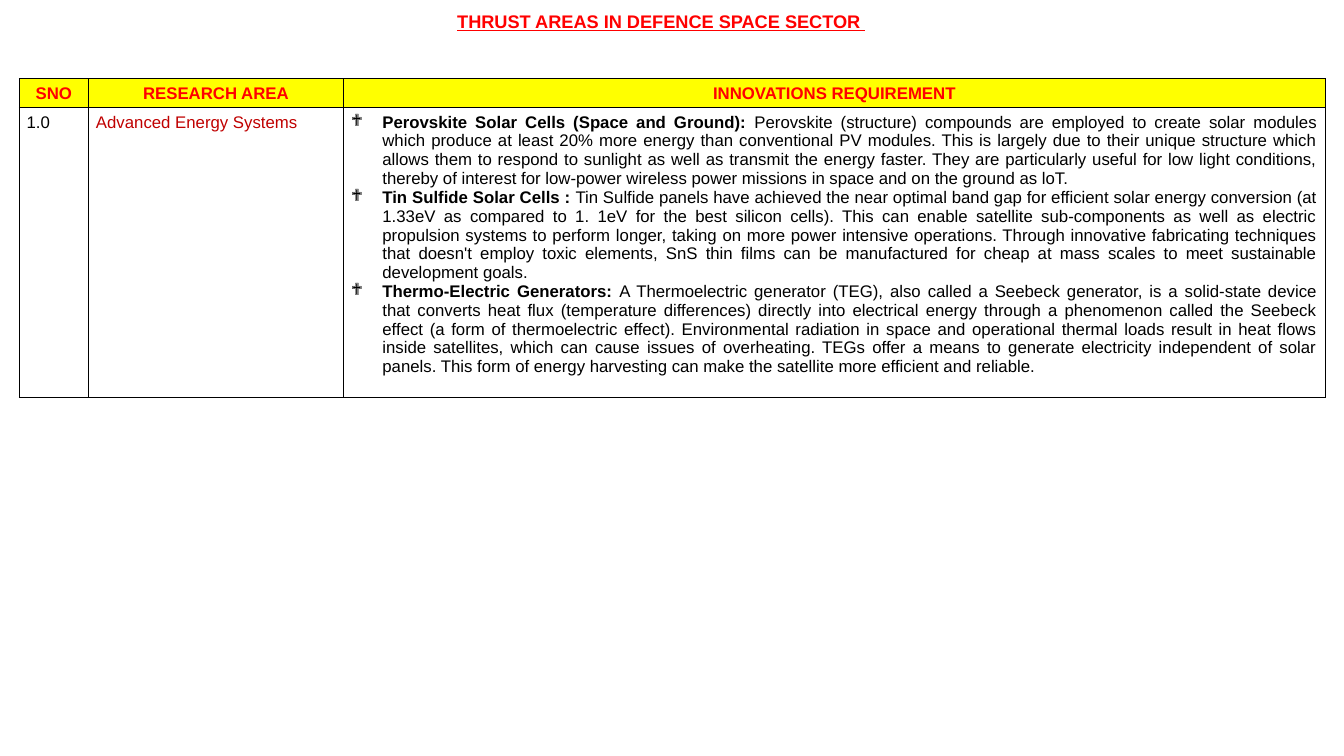
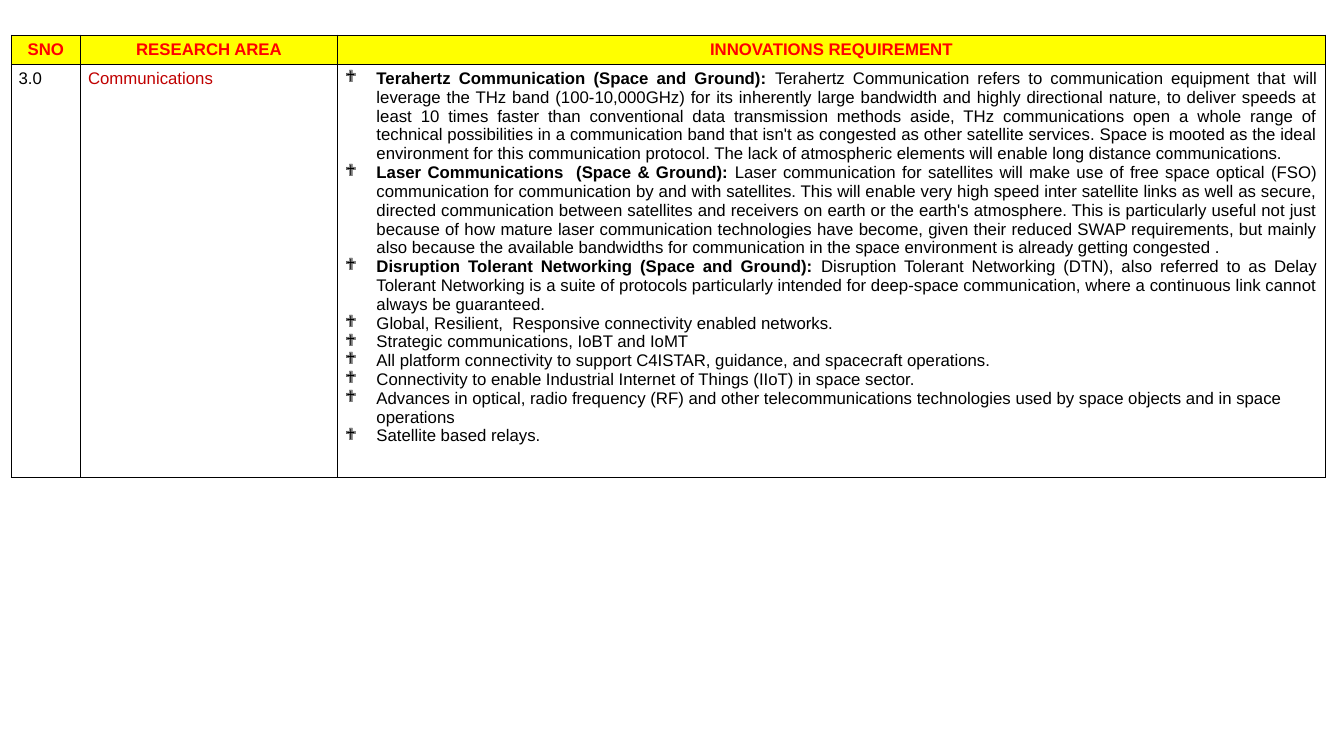
from lxml import etree
from pptx import Presentation
from pptx.dml.color import RGBColor
from pptx.enum.text import MSO_ANCHOR, MSO_AUTO_SIZE, PP_ALIGN as ALIGN
from pptx.oxml.ns import qn
from pptx.util import Cm, Pt

FONT = "Arial"
RED, DARK_RED, YELLOW, BLACK = "FF0000", "C00000", "FFFF00", "000000"
TITLE_ONLY, BLANK = 5, 6
HEADERS = ["SNO", "RESEARCH AREA", "INNOVATIONS REQUIREMENT"]
HEADER_HEIGHT = 0.73

ENERGY = [
    ("Perovskite Solar Cells (Space and Ground): ",
     "Perovskite (structure) compounds are employed to create solar modules which produce "
     "at least 20% more energy than conventional PV modules. This is largely due to their "
     "unique structure which allows them to respond to sunlight as well as transmit the "
     "energy faster. They are particularly useful for low light conditions, thereby of "
     "interest for low-power wireless power missions in space and on the ground as loT."),
    ("Tin Sulfide Solar Cells : ",
     "Tin Sulfide panels have achieved the near optimal band gap for efficient solar energy "
     "conversion (at 1.33eV as compared to 1. 1eV for the best silicon cells). This can "
     "enable satellite sub-components as well as electric propulsion systems to perform "
     "longer, taking on more power intensive operations. Through innovative fabricating "
     "techniques that doesn't employ toxic elements, SnS thin films can be manufactured for "
     "cheap at mass scales to meet sustainable development goals."),
    ("Thermo-Electric Generators: ",
     "A Thermoelectric generator (TEG), also called a Seebeck generator, is a solid-state "
     "device that converts heat flux (temperature differences) directly into electrical "
     "energy through a phenomenon called the Seebeck effect (a form of thermoelectric "
     "effect). Environmental radiation in space and operational thermal loads result in heat "
     "flows inside satellites, which can cause issues of overheating. TEGs offer a means to "
     "generate electricity independent of solar panels. This form of energy harvesting can "
     "make the satellite more efficient and reliable."),
]

COMMUNICATIONS = [
    ("Terahertz Communication (Space and Ground): ",
     "Terahertz Communication refers to communication equipment that will leverage the THz "
     "band (100-10,000GHz) for its inherently large bandwidth and highly directional nature, "
     "to deliver speeds at least 10 times faster than conventional data transmission methods "
     "aside, THz communications open a whole range of technical possibilities in a "
     "communication band that isn't as congested as other satellite services. Space is "
     "mooted as the ideal environment for this communication protocol. The lack of "
     "atmospheric elements will enable long distance communications."),
    ("Laser Communications  (Space & Ground): ",
     "Laser communication for satellites will make use of free space optical (FSO) "
     "communication for communication by and with satellites. This will enable very high "
     "speed inter satellite links as well as secure, directed communication between "
     "satellites and receivers on earth or the earth's atmosphere. This is particularly "
     "useful not just because of how mature laser communication technologies have become, "
     "given their reduced SWAP requirements, but mainly also because the available "
     "bandwidths for communication in the space environment is already getting congested ."),
    ("Disruption Tolerant Networking (Space and Ground): ",
     "Disruption Tolerant Networking (DTN), also referred to as Delay Tolerant Networking is "
     "a suite of protocols particularly intended for deep-space communication, where a "
     "continuous link cannot always be guaranteed."),
    ("", "Global, Resilient,  Responsive connectivity enabled networks."),
    ("", "Strategic communications, IoBT and IoMT"),
    ("", "All platform connectivity to support C4ISTAR, guidance, and spacecraft operations."),
    ("", "Connectivity to enable Industrial Internet of Things (IIoT) in space sector."),
    ("", "Advances in optical, radio frequency (RF) and other telecommunications technologies "
         "used by space objects and in space operations"),
    ("", "Satellite based relays."),
]


def rgb(color):
    return RGBColor.from_string(color)


def style_run(r, color=BLACK, bold=False, size=12):
    r.font.name = FONT
    r.font.size = Pt(size)
    r.font.bold = bold
    r.font.color.rgb = rgb(color)


def add_title(slide, text):
    sp = slide.shapes.title
    sp.left, sp.top, sp.width, sp.height = Cm(6), Cm(0.13), Cm(21.33), Cm(0.82)
    tf = sp.text_frame
    tf.text = text
    tf.auto_size = MSO_AUTO_SIZE.NONE
    tf.vertical_anchor = MSO_ANCHOR.TOP
    p = tf.paragraphs[0]
    p.alignment = ALIGN.CENTER
    style_run(p.runs[0], RED, True, 13)
    p.runs[0].font.underline = True


def add_borders(cell):
    tcPr = cell._tc.get_or_add_tcPr()
    for side in ("lnL", "lnR", "lnT", "lnB"):
        ln = etree.SubElement(tcPr, qn(f"a:{side}"), w=str(Pt(0.45)))
        fill = etree.SubElement(ln, qn("a:solidFill"))
        etree.SubElement(fill, qn("a:srgbClr"), val=BLACK)


def format_cell(cell, fill=None):
    cell.margin_left = cell.margin_right = Cm(0.19)
    cell.margin_top = cell.margin_bottom = Cm(0.13)
    add_borders(cell)
    if fill:
        cell.fill.solid()
        cell.fill.fore_color.rgb = rgb(fill)
    else:
        cell.fill.background()


def write_cell(cell, text, color, bold=False, align=ALIGN.LEFT):
    p = cell.text_frame.paragraphs[0]
    p.text = text
    p.alignment = align
    style_run(p.runs[0], color, bold)


def add_bullet(p):
    pPr = p._p.get_or_add_pPr()
    pPr.set("marL", str(Cm(0.79)))
    pPr.set("indent", str(-Cm(0.79)))
    color = etree.SubElement(pPr, qn("a:buClr"))
    etree.SubElement(color, qn("a:srgbClr"), val=BLACK)
    etree.SubElement(pPr, qn("a:buFont"), typeface="Wingdings")
    etree.SubElement(pPr, qn("a:buChar"), char="❖")


def write_bullets(cell, items):
    tf = cell.text_frame
    for i, (lead, body) in enumerate(items):
        p = tf.add_paragraph() if i else tf.paragraphs[0]
        add_bullet(p)
        p.alignment = ALIGN.JUSTIFY if lead else ALIGN.LEFT
        for text, bold in ((lead, True), (body, False)):
            if text:
                r = p.add_run()
                r.text = text
                style_run(r, bold=bold)


def add_area_table(slide, left, top, widths, body_height, number, area, items):
    heights = [HEADER_HEIGHT, body_height]
    table = slide.shapes.add_table(2, len(widths), Cm(left), Cm(top),
                                   Cm(sum(widths)), Cm(sum(heights))).table
    table.first_row = table.horz_banding = False
    for column, width in zip(table.columns, widths):
        column.width = Cm(width)
    for row, height in zip(table.rows, heights):
        row.height = Cm(height)
    for i, header in enumerate(HEADERS):
        format_cell(table.cell(0, i), YELLOW)
        write_cell(table.cell(0, i), header, RED, True, ALIGN.CENTER)
        format_cell(table.cell(1, i))
    write_cell(table.cell(1, 0), number, BLACK)
    write_cell(table.cell(1, 1), area, DARK_RED)
    write_bullets(table.cell(1, 2), items)


def main():
    prs = Presentation()
    prs.slide_width, prs.slide_height = Cm(33.88), Cm(19.05)

    slide = prs.slides.add_slide(prs.slide_layouts[TITLE_ONLY])
    add_area_table(slide, 0.48, 1.98, [1.75, 6.43, 24.75], 7.3,
                   "1.0", "Advanced Energy Systems", ENERGY)
    add_title(slide, "THRUST AREAS IN DEFENCE SPACE SECTOR ")

    slide = prs.slides.add_slide(prs.slide_layouts[BLANK])
    add_area_table(slide, 0.28, 0.88, [1.75, 6.48, 24.9], 10.4,
                   "3.0", "Communications", COMMUNICATIONS)

    prs.save("out.pptx")


if __name__ == "__main__":
    main()
